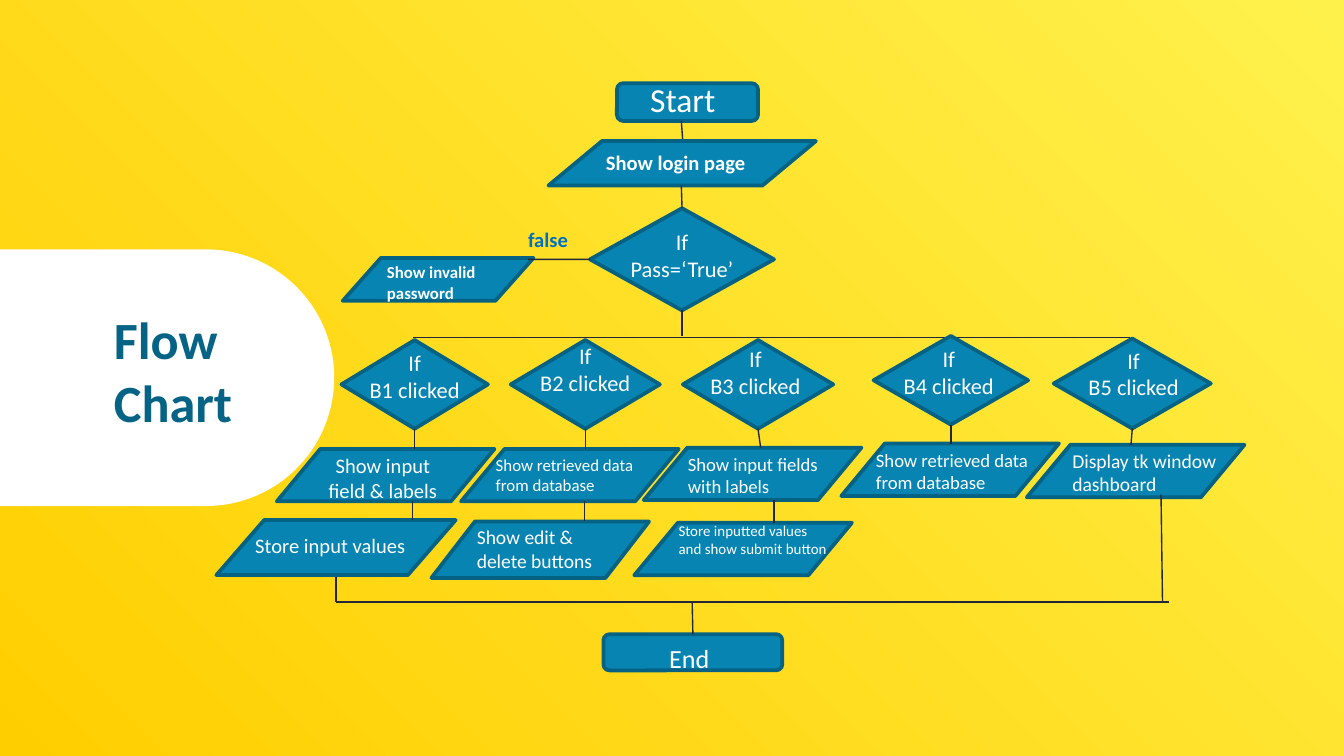
from lxml import etree
from pptx import Presentation
from pptx.dml.color import RGBColor
from pptx.enum import shapes, text
from pptx.oxml import ns
from pptx.util import Pt

COLORS = {
    "gold": "FFCE00", "lemon": "FFF14C", "white": "FFFFFF", "node": "0784B1",
    "edge": "056283", "title": "056385", "false": "0070C0", "link": "23273A",
}
FONT = "Calibri"
MSO = shapes.MSO_SHAPE
DATA, DECISION, TERMINAL = (
    MSO.FLOWCHART_DATA, MSO.FLOWCHART_DECISION, MSO.ROUNDED_RECTANGLE)
CENTER, LEFT = text.PP_ALIGN.CENTER, text.PP_ALIGN.LEFT
TOP, WEST, BOTTOM = 0, 1, 2
STEP = (116.6, 28.1)

BRANCHES = [
    ((182.9, 182.2, 78.5, 47.5), "B1", (0, 1.4), 0, 38, [
        ((-34.6, 58.3, *STEP), "Show input field & labels", (18.7, -1.4, 76.3), 11, CENTER),
        ((-67, 96.4, 128.2, 29.5), "Store input values", (13.7, 3.6, 113.8), 11, LEFT)]),
    ((273.6, 182.2, 79.9, 47.5), "B2", (0, -2.2), 0, 39.6, [
        ((-26.6, 58.3, *STEP), "Show retrieved data from database", (11.5, -0.7, 92.2), 9, LEFT),
        ((-42.5, 97.2, 116.6, 30.2), "Show edit & delete buttons", (17.3, -1.5, 84.2), 10.5, LEFT)]),
    ((365.8, 182.2, 80.6, 47.5), "B3", (-1.4, -0.8), 1.4, 48.9, [
        ((-20.9, 57.6, *STEP), "Show input fields with labels", (16.5, -0.8, 91.4), 10, LEFT),
        ((-26, 97.9, *STEP), "Store inputted values and show submit button",
         (16.6, -4.3, 95), 8, LEFT)]),
    ((468, 180, 82.8, 47.5), "B4", (-1.1, 1.4), 0, 0, [
        ((-17.3, 57.6, *STEP), "Show retrieved data from database", (11.5, -0.7, 108.7), 10, LEFT)]),
    ((564.5, 181.4, 84.2, 48.2), "B5", (0.7, 0.8), -0.7, 0, [
        ((-14.4, 56.9, *STEP), "Display tk window dashboard", (17.3, -1.4, 100), 10.5, LEFT)]),
]


def rgb(name):
    return RGBColor.from_string(COLORS[name])


def add_node(s, kind, x, y, w, h):
    sp = s.shapes.add_shape(kind, Pt(x), Pt(y), Pt(w), Pt(h))
    sp.shadow.inherit = False
    sp.fill.solid()
    sp.fill.fore_color.rgb = rgb("node")
    sp.line.color.rgb = rgb("edge")
    sp.line.width = Pt(2)
    return sp


def add_label(s, label, x, y, w, h, size, align=LEFT, bold=False, color="white"):
    tf = s.shapes.add_textbox(Pt(x), Pt(y), Pt(w), Pt(h)).text_frame
    tf.word_wrap = True
    tf.auto_size = text.MSO_AUTO_SIZE.SHAPE_TO_FIT_TEXT
    tf.text = label
    for p in tf.paragraphs:
        p.alignment = align
        for r in p.runs:
            r.font.name = FONT
            r.font.size = Pt(size)
            r.font.bold = bold
            r.font.color.rgb = rgb(color)


def add_link(s, x1, y1, x2, y2, begin=None, end=None):
    c = s.shapes.add_connector(
        shapes.MSO_CONNECTOR.STRAIGHT, Pt(x1), Pt(y1), Pt(x2), Pt(y2))
    c.line.color.rgb = rgb("link")
    c.line.width = Pt(0.75)
    etree.SubElement(c._element.spPr, ns.qn("a:effectLst"))
    if begin:
        c.begin_connect(*begin)
    if end:
        c.end_connect(*end)


def add_background(s):
    fill = s.background.fill
    fill.gradient()
    fill.gradient_angle = 45
    for stop, name, position in zip(fill.gradient_stops, ("gold", "lemon"), (0, 1)):
        stop.color.rgb = rgb(name)
        stop.position = position


def add_title_panel(s, x, y, w, h):
    sp = s.shapes.add_shape(
        MSO.ROUND_2_SAME_RECTANGLE,
        Pt(x + (w - h) / 2), Pt(y + (h - w) / 2), Pt(h), Pt(w))
    sp.rotation = 90
    sp.adjustments[0] = 0.5
    sp.adjustments[1] = 0
    sp.shadow.inherit = False
    sp.fill.solid()
    sp.fill.fore_color.rgb = rgb("white")
    sp.line.fill.background()
    add_label(s, "Flow\nChart", x + 55, y + 27.7, 96.5, 75, 28, bold=True, color="title")


def add_login(s, x, y):
    add_node(s, TERMINAL, x + 150.5, y + 8.6, 75.6, 20.2)
    add_label(s, "Start", x + 150.5, y + 2.9, 70.6, 29, 18, CENTER)
    add_link(s, x + 185, y + 28.8, x + 185.8, y + 39.6)
    add_node(s, DATA, x + 113.8, y + 39.6, 143.3, 23.8)
    add_label(s, "Show login page", x + 137.5, y + 41, 108, 21, 11, bold=True)
    check = add_node(s, DECISION, x + 136.1, y + 75.6, 98.6, 54.7)
    add_label(s, "If\nPass=‘True’", x + 144.7, y + 82.8, 81.4, 36, 12, CENTER)
    add_label(s, "false", x + 95.8, y + 82.1, 72, 21, 11, bold=True, color="false")
    add_node(s, DATA, x + 3.6, y + 102.2, 102.2, 23)
    add_label(s, "Show invalid password", x + 20.2, y + 100.8, 68.4, 29, 9, bold=True)
    add_link(s, x + 185, y + 63.4, x + 185.4, y + 75.6, end=(check, TOP))
    add_link(s, x + 103, y + 103, x + 136.1, y + 103, end=(check, WEST))
    add_link(s, x + 185.4, y + 130.3, x + 185.4, y + 144, begin=(check, BOTTOM))


def add_branch(s, box, button, shift, lean, drop, steps):
    x, y, w, h = box
    diamond = add_node(s, DECISION, *box)
    add_label(s, f"If\n{button} clicked", x + shift[0], y + shift[1], w, 36, 12, CENTER)
    for (dx, dy, sw, sh), label, (tx, ty, tw), size, align in steps:
        add_node(s, DATA, x + dx, y + dy, sw, sh)
        add_label(s, label, x + dx + tx, y + dy + ty, tw, 30, size, align)
    first, last = steps[0][0], steps[-1][0]
    add_link(s, x + w / 2, y + h, x + w / 2 + lean, y + first[1], begin=(diamond, BOTTOM))
    if last != first:
        add_link(s, x + drop, y + first[1] + first[3], x + drop, y + last[1])


def add_ending(s, x, y, w):
    add_link(s, x, y - 13.7, x, y)
    add_link(s, x + 442, y - 57.6, x + 442.8, y)
    add_link(s, x, y, x + w, y)
    end = add_node(s, TERMINAL, x + 143.3, y + 17.2, 95.8, 19.4)
    add_link(s, x + 190.8, y, x + 191.2, y + 17.2, end=(end, TOP))
    add_label(s, "End", x + 171.4, y + 18, 62.6, 24, 14)


def main():
    prs = Presentation()
    prs.slide_width, prs.slide_height = Pt(720), Pt(405)
    s = prs.slides.add_slide(prs.slide_layouts[6])
    add_background(s)
    add_title_panel(s, -1, 133.6, 180, 137.5)
    add_login(s, 180, 36)
    add_link(s, 221, 180.7, 605.5, 180.7)
    for branch in BRANCHES:
        add_branch(s, *branch)
    add_ending(s, 180, 322.6, 446.4)
    prs.save("out.pptx")


if __name__ == "__main__":
    main()
